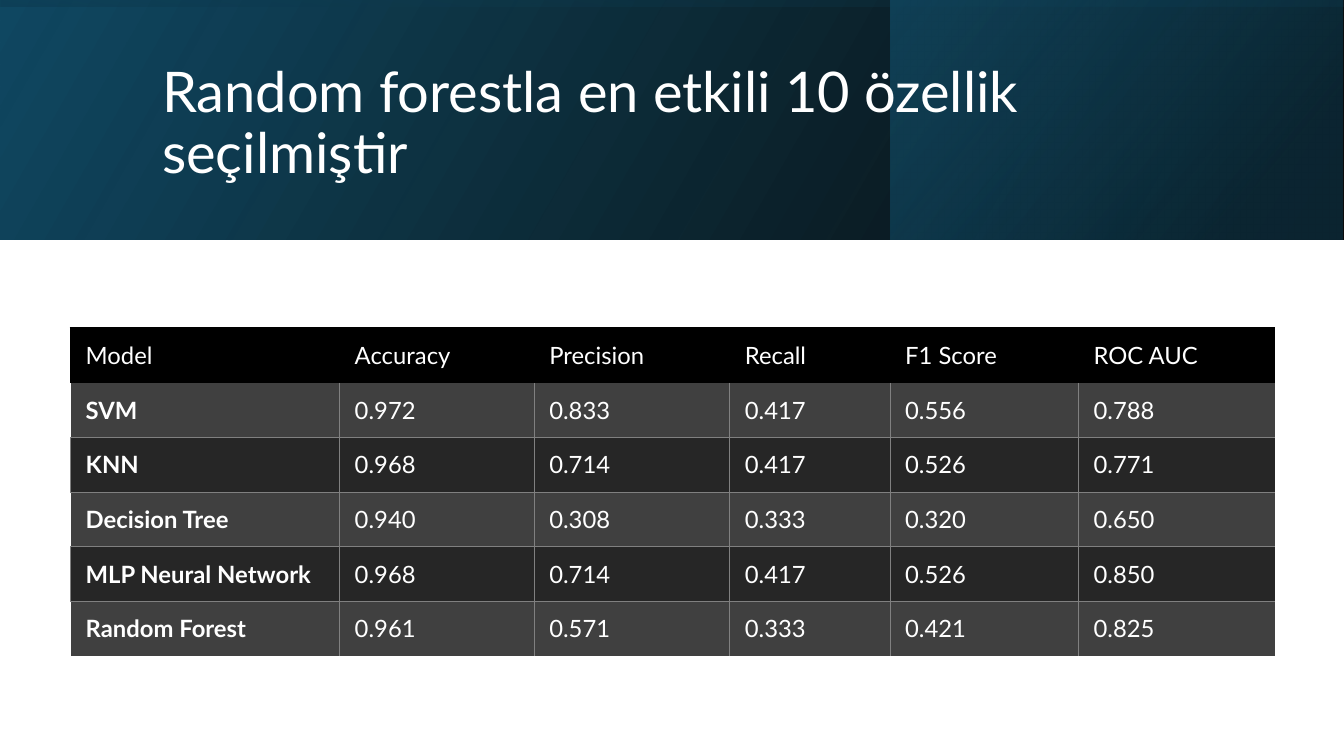
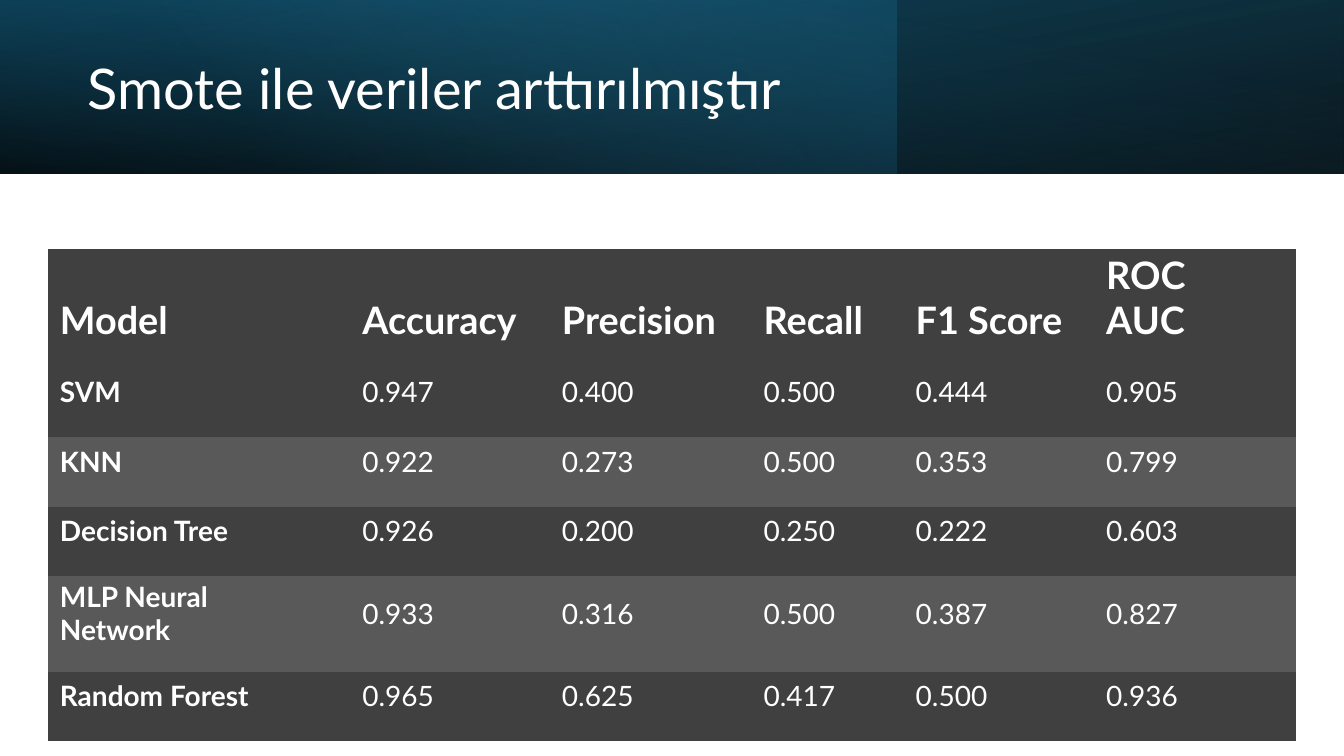
from typing import NamedTuple

from lxml.etree import SubElement
from pptx import Presentation
from pptx.dml.color import RGBColor
from pptx.enum.shapes import MSO_SHAPE
from pptx.enum.text import MSO_ANCHOR, MSO_AUTO_SIZE, PP_ALIGN
from pptx.oxml.ns import qn
from pptx.util import Pt

FONT = "Lato"
NO_GRID_STYLE = "{2D5ABB26-0587-4C30-8999-92F81FD0307C}"
SLIDE_WIDTH, SLIDE_HEIGHT = 960, 540
COLORS = {
    "black": "000000",
    "white": "FFFFFF",
    "navy": "0B3041",
    "deep teal": "104862",
    "teal": "156082",
    "sky": "46B1E1",
    "charcoal": "262626",
    "dark gray": "404040",
    "mid gray": "595959",
    "line gray": "808080",
}
HEADERS = ("Model", "Accuracy", "Precision", "Recall", "F1 Score", "ROC AUC")
LAST_COLUMN = len(HEADERS) - 1


class Box(NamedTuple):
    left: float
    top: float
    width: float
    height: float


class Stop(NamedTuple):
    position: int
    color: str
    opacity: int


class Band(NamedTuple):
    box: Box
    angle: int
    stops: tuple[Stop, Stop]
    rotation: int = 0
    flipped: bool = True


class Border(NamedTuple):
    side: str
    color: str
    width: float


class TableStyle(NamedTuple):
    left: float
    top: float
    column_widths: tuple[float, ...]
    header_height: float
    row_height: float
    margins: tuple[float, float, float, float]
    header_size: int
    body_size: int
    header_bold: bool
    header_anchor: MSO_ANCHOR
    header_fill: str
    stripes: tuple[str, str]


class ResultSlide(NamedTuple):
    title: str
    title_box: Box
    bands: tuple[Band, ...]
    style: TableStyle
    rows: tuple[tuple[str, ...], ...]
    borders: object


def forest_borders(row: int, column: int, last_row: int) -> list[Border]:
    """Black frame on the header, thin gray lines between body cells."""
    if row == 0:
        sides = "LT" if column == 0 else "T"
        return [Border(side, "black", 1.5) for side in sides]
    light = row % 2 == 1
    wanted = {
        "L": column > 0 or not light,
        "R": column < LAST_COLUMN,
        "T": not light,
        "B": light and row < last_row,
    }
    return [Border(side, "line gray", 0.5) for side, drawn in wanted.items() if drawn]


def smote_borders(row: int, column: int, last_row: int) -> list[Border]:
    """White edge to the left of the model names."""
    return [Border("L", "white", 1)] if row > 0 and column == 0 else []


FOREST_HEIGHT, SMOTE_HEIGHT = 170.8, 124
FOREST_OFFSET = (SLIDE_WIDTH - FOREST_HEIGHT) / 2

SLIDES = (
    ResultSlide(
        title="Random forestla en etkili 10 özellik seçilmiştir",
        title_box=Box(108.7, 27.4, 765.4, 123.8),
        bands=(
            Band(Box(0, 0, SLIDE_WIDTH, FOREST_HEIGHT), 330,
                 (Stop(0, "black", 96), Stop(100, "deep teal", 100))),
            Band(Box(636.2, 0, 323, FOREST_HEIGHT), 320,
                 (Stop(19, "navy", 68), Stop(100, "teal", 48))),
            Band(Box(FOREST_OFFSET, -FOREST_OFFSET, FOREST_HEIGHT, SLIDE_WIDTH), 350,
                 (Stop(23, "deep teal", 16), Stop(99, "black", 45)), rotation=270),
        ),
        style=TableStyle(
            left=50.4, top=234.5,
            column_widths=(192.2, 139, 139.7, 114.5, 134.6, 140.4),
            header_height=39, row_height=39, margins=(10.8, 8.6, 13, 8.6),
            header_size=17, body_size=17, header_bold=False,
            header_anchor=MSO_ANCHOR.MIDDLE, header_fill="black",
            stripes=("dark gray", "charcoal"),
        ),
        rows=(
            ("SVM", "0.972", "0.833", "0.417", "0.556", "0.788"),
            ("KNN", "0.968", "0.714", "0.417", "0.526", "0.771"),
            ("Decision Tree", "0.940", "0.308", "0.333", "0.320", "0.650"),
            ("MLP Neural Network", "0.968", "0.714", "0.417", "0.526", "0.850"),
            ("Random Forest", "0.961", "0.571", "0.333", "0.421", "0.825"),
        ),
        borders=forest_borders,
    ),
    ResultSlide(
        title="Smote ile veriler arttırılmıştır",
        title_box=Box(55.4, 19.4, 555.8, 91.4),
        bands=(
            Band(Box(0, 0, SLIDE_WIDTH, SMOTE_HEIGHT), 100,
                 (Stop(0, "black", 96), Stop(100, "deep teal", 100)), rotation=180),
            Band(Box(0, 0, 640.4, SMOTE_HEIGHT), 140,
                 (Stop(0, "teal", 41), Stop(74, "sky", 0)), flipped=False),
            Band(Box(0, 0, SLIDE_WIDTH, SMOTE_HEIGHT), 260,
                 (Stop(0, "black", 63), Stop(78, "teal", 15))),
        ),
        style=TableStyle(
            left=34.2, top=177.8,
            column_widths=(216, 142.6, 144, 108.7, 136.1, 144.4),
            header_height=57.6, row_height=49.5, margins=(8.6, 2.4, 18.7, 18),
            header_size=27, body_size=20, header_bold=True,
            header_anchor=MSO_ANCHOR.BOTTOM, header_fill="dark gray",
            stripes=("dark gray", "mid gray"),
        ),
        rows=(
            ("SVM", "0.947", "0.400", "0.500", "0.444", "0.905"),
            ("KNN", "0.922", "0.273", "0.500", "0.353", "0.799"),
            ("Decision Tree", "0.926", "0.200", "0.250", "0.222", "0.603"),
            ("MLP Neural Network", "0.933", "0.316", "0.500", "0.387", "0.827"),
            ("Random Forest", "0.965", "0.625", "0.417", "0.500", "0.936"),
        ),
        borders=smote_borders,
    ),
)


def write_text(text_frame, text: str, *, size: float, bold: bool = False,
               color: str = "white", line_spacing: float = 1.0) -> None:
    paragraph = text_frame.paragraphs[0]
    paragraph.alignment = PP_ALIGN.LEFT
    paragraph.line_spacing = line_spacing
    run = paragraph.add_run()
    run.text = text
    run.font.name = FONT
    run.font.size = Pt(size)
    run.font.bold = bold
    run.font.color.rgb = RGBColor.from_string(COLORS[color])


def add_color(parent, color: str, opacity: int = 100) -> None:
    element = SubElement(parent, qn("a:srgbClr"), val=COLORS[color])
    if opacity < 100:
        SubElement(element, qn("a:alpha"), val=str(opacity * 1000))


def add_band(slide, band: Band) -> None:
    shape = slide.shapes.add_shape(MSO_SHAPE.RECTANGLE, *map(Pt, band.box))
    shape.shadow.inherit = False
    shape.line.fill.background()
    shape.rotation = band.rotation
    properties = shape.element.spPr
    if band.flipped:
        properties.find(qn("a:xfrm")).set("flipH", "1")
    shape.fill.gradient()
    gradient = properties.find(qn("a:gradFill"))
    for child in list(gradient):
        gradient.remove(child)
    stop_list = SubElement(gradient, qn("a:gsLst"))
    for stop in band.stops:
        element = SubElement(stop_list, qn("a:gs"), pos=str(stop.position * 1000))
        add_color(element, stop.color, stop.opacity)
    SubElement(gradient, qn("a:lin"), ang=str(band.angle * 60000), scaled="0")


def set_title(slide, text: str, box: Box) -> None:
    title = slide.shapes.title
    title.left, title.top, title.width, title.height = map(Pt, box)
    text_frame = title.text_frame
    text_frame.word_wrap = True
    text_frame.auto_size = MSO_AUTO_SIZE.NONE
    text_frame.vertical_anchor = MSO_ANCHOR.MIDDLE
    write_text(text_frame, text, size=40, line_spacing=0.9)
    slide.shapes.element.append(title.element)  # bring in front of the bands


def add_borders(cell, borders: list[Border]) -> None:
    properties = cell._tc.get_or_add_tcPr()
    for border in borders:
        line = SubElement(properties, qn(f"a:ln{border.side}"), w=str(Pt(border.width)))
        add_color(SubElement(line, qn("a:solidFill")), border.color)


def add_result_table(slide, content: ResultSlide) -> None:
    style = content.style
    rows = (HEADERS, *content.rows)
    last_row = len(rows) - 1
    heights = (style.header_height, *[style.row_height] * last_row)
    box = Box(style.left, style.top, sum(style.column_widths), sum(heights))
    table = slide.shapes.add_table(len(rows), len(HEADERS), *map(Pt, box)).table
    table.first_row = table.horz_banding = False
    table._tbl.tblPr.find(qn("a:tableStyleId")).text = NO_GRID_STYLE
    for column, width in zip(table.columns, style.column_widths):
        column.width = Pt(width)
    for row, height in zip(table.rows, heights):
        row.height = Pt(height)

    for row_index, values in enumerate(rows):
        header = row_index == 0
        fill = style.header_fill if header else style.stripes[(row_index - 1) % 2]
        for column_index, value in enumerate(values):
            cell = table.cell(row_index, column_index)
            (cell.margin_left, cell.margin_top,
             cell.margin_right, cell.margin_bottom) = map(Pt, style.margins)
            cell.vertical_anchor = style.header_anchor if header else MSO_ANCHOR.MIDDLE
            add_borders(cell, content.borders(row_index, column_index, last_row))
            cell.fill.solid()
            cell.fill.fore_color.rgb = RGBColor.from_string(COLORS[fill])
            write_text(cell.text_frame, value,
                       size=style.header_size if header else style.body_size,
                       bold=style.header_bold if header else column_index == 0)


def main() -> None:
    presentation = Presentation()
    presentation.slide_width, presentation.slide_height = Pt(SLIDE_WIDTH), Pt(SLIDE_HEIGHT)
    title_only = presentation.slide_layouts[5]
    for content in SLIDES:
        slide = presentation.slides.add_slide(title_only)
        for band in content.bands:
            add_band(slide, band)
        set_title(slide, content.title, content.title_box)
        add_result_table(slide, content)
    presentation.save("out.pptx")


if __name__ == "__main__":
    main()
